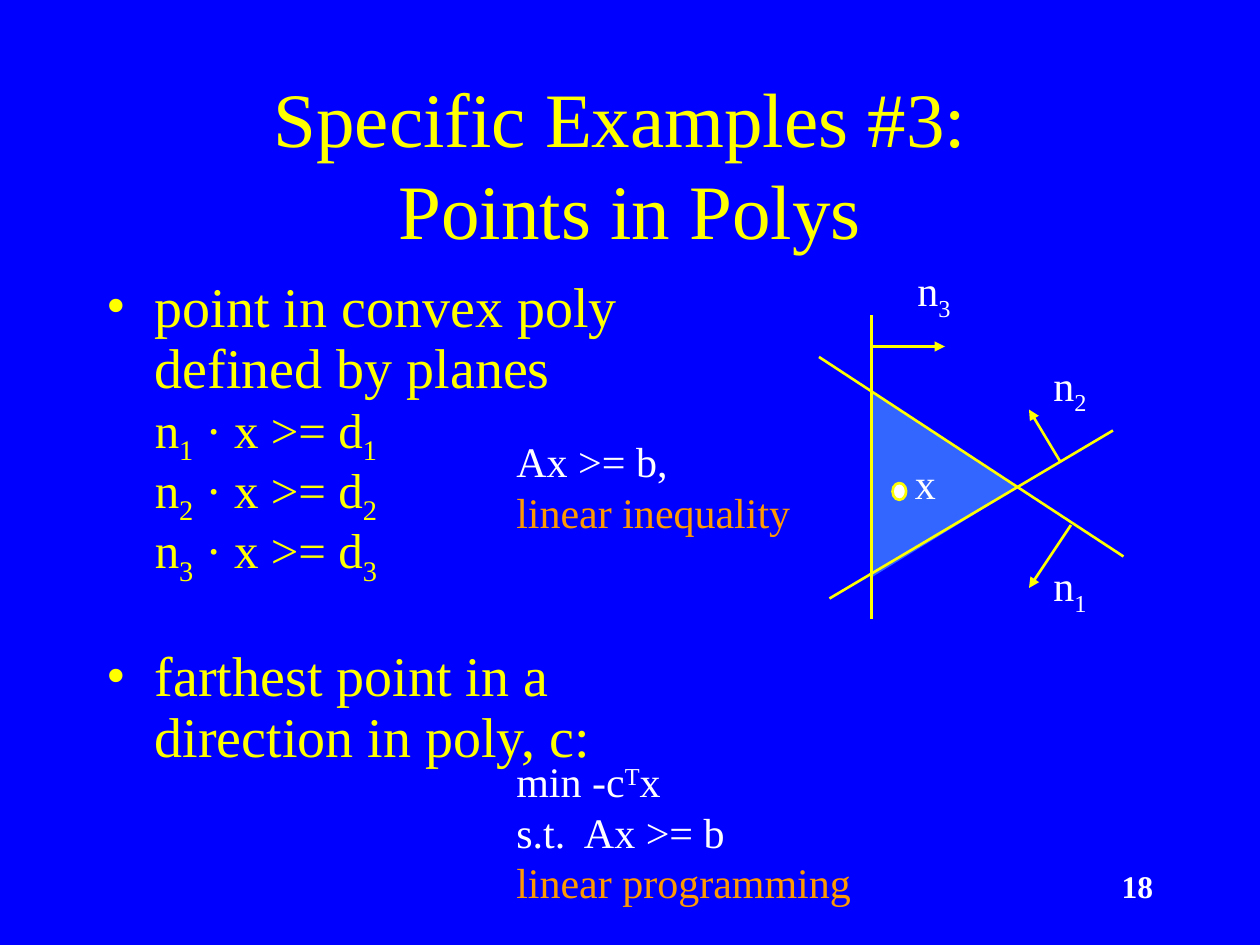
from lxml.etree import SubElement
from pptx import Presentation
from pptx.dml.color import RGBColor
from pptx.enum.shapes import MSO_CONNECTOR, MSO_SHAPE
from pptx.enum.text import MSO_ANCHOR as Anchor, MSO_AUTO_SIZE as AutoSize, PP_ALIGN as Align
from pptx.oxml.ns import qn
from pptx.util import Inches, Pt

COLUMNS, ROWS = 120, 90
CELL = Inches(10) // COLUMNS
FONT = "Times New Roman"
BLUE, YELLOW, WHITE, ORANGE, POLYGON = "0000FF", "FFFF00", "FFFFFF", "FF9900", "3366FF"
BASELINES = {"_": "-25000", "^": "30000"}


def color(value):
    return RGBColor.from_string(value)


def cells(*values):
    return [round(value * CELL) for value in values]


def apply(target, formats):
    for name, value in formats.items():
        setattr(target, name, value)


def add_runs(paragraph, text, size, text_color, **formats):
    for piece in text.split("|"):
        run = paragraph.add_run()
        run.text = piece.lstrip("_^")
        apply(run.font, {"size": Pt(size), "name": FONT, **formats})
        run.font.color.rgb = color(text_color)
        if piece[0] in BASELINES:
            run.font._element.set("baseline", BASELINES[piece[0]])


def add_lines(paragraph, lines, text_color):
    for index, (text, size) in enumerate(lines):
        if index:
            paragraph.add_line_break()
        add_runs(paragraph, text, size, text_color)


def add_text(slide, box, lines, align=Align.LEFT, size=24, **formats):
    frame = slide.shapes.add_textbox(*cells(*box)).text_frame
    apply(frame, {"word_wrap": False, "vertical_anchor": Anchor.MIDDLE,
                  "auto_size": AutoSize.NONE})
    for index, (text, text_color) in enumerate(lines):
        paragraph = frame.add_paragraph() if index else frame.paragraphs[0]
        paragraph.alignment = align
        add_runs(paragraph, text, size, text_color, **formats)


def add_title(slide, box):
    title = slide.shapes.title
    apply(title, dict(zip(("left", "top", "width", "height"), cells(*box))))
    apply(title.text_frame, {"word_wrap": True, "auto_size": AutoSize.NONE,
                             "vertical_anchor": Anchor.MIDDLE})
    paragraph = title.text_frame.paragraphs[0]
    paragraph.alignment = Align.CENTER
    add_lines(paragraph, [("Specific Examples #3: ", 44), ("Points in Polys", 44)], YELLOW)


def add_bullet(paragraph):
    properties = paragraph._p.get_or_add_pPr()
    properties.set("marL", str(Inches(0.38)))
    properties.set("indent", str(-Inches(0.38)))
    bullet_color = SubElement(properties, qn("a:buClr"))
    SubElement(bullet_color, qn("a:srgbClr"), val=YELLOW)
    SubElement(properties, qn("a:buFont"), typeface=FONT)
    SubElement(properties, qn("a:buChar"), char="•")


def add_body(slide, box):
    frame = slide.shapes.add_textbox(*cells(*box)).text_frame
    frame.word_wrap = True
    planes = [(f"n|_{number}| · x >= d|_{number}", 28) for number in (1, 2, 3)]
    bullets = [
        ([("point in convex poly defined by planes", 32), *planes], 0),
        ([("farthest point in a direction in poly, c:", 32)], 38.5),
    ]
    for index, (lines, space) in enumerate(bullets):
        paragraph = frame.add_paragraph() if index else frame.paragraphs[0]
        add_bullet(paragraph)
        apply(paragraph, {"line_spacing": 0.9, "space_before": Pt(space)})
        add_lines(paragraph, lines, YELLOW)


def add_line(slide, start, end, arrow=False):
    connector = slide.shapes.add_connector(MSO_CONNECTOR.STRAIGHT, *cells(*start, *end))
    connector.line.color.rgb = color(YELLOW)
    connector.line.width = Pt(1.5)
    if arrow:
        SubElement(connector.line._get_or_add_ln(), qn("a:tailEnd"), type="triangle")
    SubElement(connector._element.spPr, qn("a:effectLst"))


def add_polygon_diagram(slide, left, top):
    def place(column, row):
        return left + column, top + row

    corners = [cells(*place(*corner)) for corner in ((5, 31), (19, 22.4), (5, 13.4))]
    builder = slide.shapes.build_freeform(*corners[0], scale=1.0)
    builder.add_line_segments(corners[1:], close=True)
    polygon = builder.convert_to_shape()
    polygon.shadow.inherit = False
    polygon.fill.solid()
    polygon.fill.fore_color.rgb = color(POLYGON)
    polygon.line.fill.background()

    planes = [((0, 10), (29, 29)), ((5, 6), (5, 35)), ((1, 33), (28, 17))]
    normals = [((5, 9), (12, 9)), ((23, 20), (20, 15)), ((24, 26), (20, 32))]
    for segments, arrow in ((planes, False), (normals, True)):
        for start, end in segments:
            add_line(slide, place(*start), place(*end), arrow)

    labels = [("n|_1", 20.9, 28.7), ("n|_2", 20.9, 9.6), ("n|_3", 7.95, 0.6)]
    for text, column, row in labels:
        add_text(slide, (*place(column, row), 6, 6.7), [(text, WHITE)], Align.CENTER)

    point = slide.shapes.add_shape(MSO_SHAPE.OVAL, *cells(*place(7, 22), 1.3, 1.6))
    point.shadow.inherit = False
    point.fill.solid()
    point.fill.fore_color.rgb = color(WHITE)
    point.line.color.rgb = color(YELLOW)
    point.line.width = Pt(1.5)
    add_text(slide, (*place(8, 19), 4.3, 6), [("x", WHITE)], Align.CENTER)


def main():
    presentation = Presentation()
    presentation.slide_width, presentation.slide_height = cells(COLUMNS, ROWS)
    slide = presentation.slides.add_slide(presentation.slide_layouts[5])
    slide.background.fill.solid()
    slide.background.fill.fore_color.rgb = color(BLUE)

    add_title(slide, (9, 8, 102, 15))
    add_body(slide, (9, 26, 63, 54))
    add_polygon_diagram(slide, 78, 24)
    add_text(slide, (48, 40.9, 29, 10.8),
             [("Ax >= b,", WHITE), ("linear inequality", ORANGE)])
    add_text(slide, (48, 71.4, 35, 15.6),
             [("min -c|^T|x", WHITE), ("s.t.  Ax >= b", WHITE), ("linear programming", ORANGE)])
    add_text(slide, (86, 82, 25, 4.7), [("18", WHITE)], Align.RIGHT, 18, bold=True)
    presentation.save("out.pptx")


if __name__ == "__main__":
    main()
